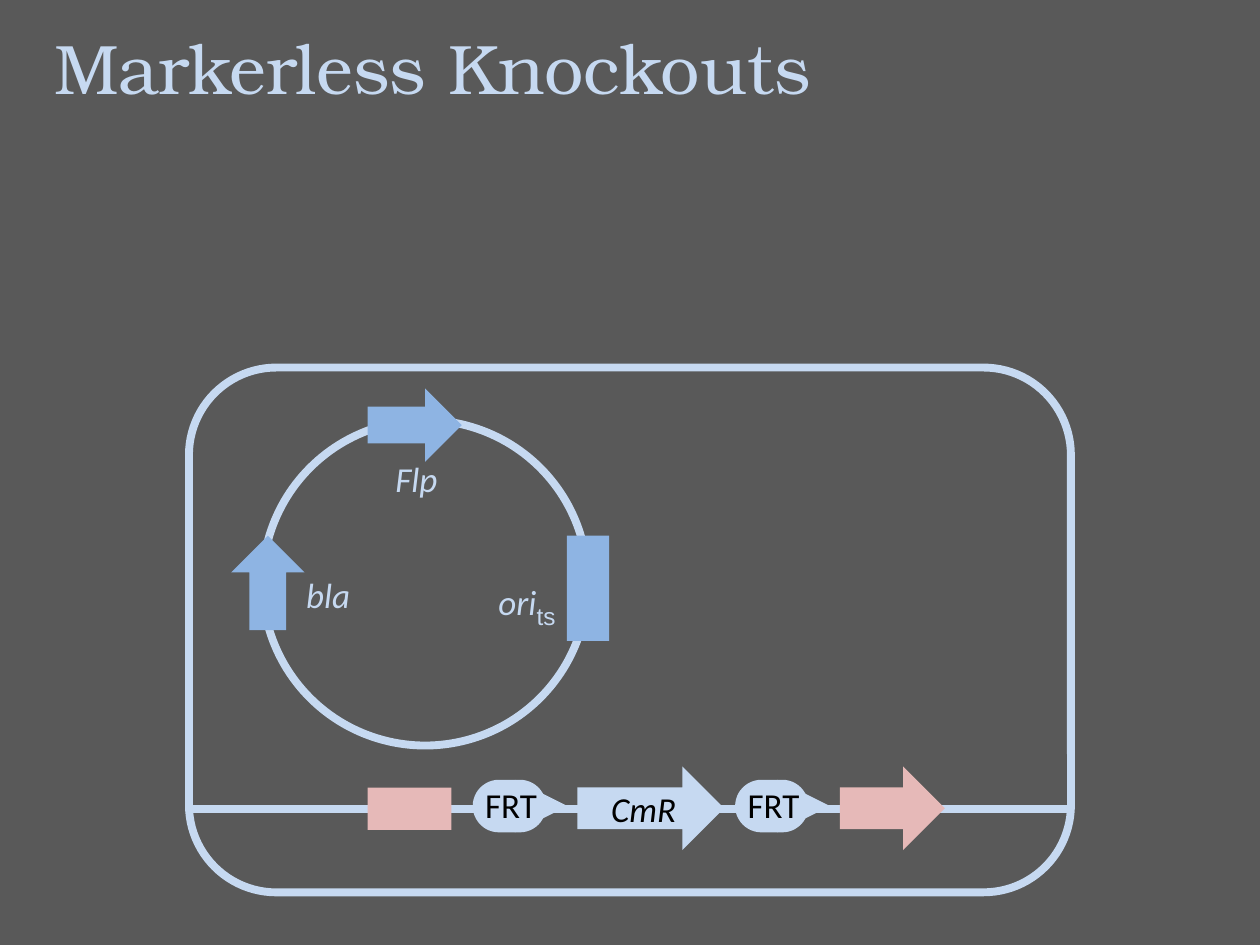
"""Build the Markerless Knockouts slide with a plasmid inside a cell."""
import lxml.etree
import pptx
import pptx.dml.color
import pptx.enum.shapes
import pptx.enum.text
import pptx.oxml.ns
import pptx.util

Cm = pptx.util.Cm
Pt = pptx.util.Pt
RGB = pptx.dml.color.RGBColor.from_string
SHAPE = pptx.enum.shapes.MSO_SHAPE
COLORS = {
    "background": "595959",
    "pale": "C6D9F1",
    "blue": "8EB4E3",
    "pink": "E6B9B8",
    "black": "000000",
}
LINE_WIDTH = Pt(4.5)


def add_part(container, kind, left, top, width, height, fill=None, rotation=0):
    shape = container.add_shape(kind, Cm(left), Cm(top), Cm(width), Cm(height))
    shape.shadow.inherit = False
    shape.rotation = rotation
    if fill:
        shape.fill.solid()
        shape.fill.fore_color.rgb = RGB(COLORS[fill])
        shape.line.fill.background()
    else:
        shape.fill.background()
        shape.line.color.rgb = RGB(COLORS["pale"])
        shape.line.width = LINE_WIDTH
    return shape


def add_label(container, text, left, top, width, height, color="pale",
              size=20, font="Calibri", italic=False, wrap=False):
    shape = container.add_textbox(Cm(left), Cm(top), Cm(width), Cm(height))
    frame = shape.text_frame
    frame.text = text
    frame.word_wrap = wrap
    frame.auto_size = pptx.enum.text.MSO_AUTO_SIZE.SHAPE_TO_FIT_TEXT
    run = frame.paragraphs[0].runs[0]
    run.font.name = font
    run.font.size = Pt(size)
    run.font.italic = italic
    run.font.color.rgb = RGB(COLORS[color])
    return shape


presentation = pptx.Presentation()
presentation.slide_width = Cm(25.4)
presentation.slide_height = Cm(19.05)
slide = presentation.slides.add_slide(presentation.slide_layouts[6])
slide.background.fill.solid()
slide.background.fill.fore_color.rgb = RGB(COLORS["background"])
shapes = slide.shapes

add_label(shapes, "Markerless Knockouts", 0.84, 0.36, 23.93, 1.96,
          size=40, font="TeX Gyre Bonum", wrap=True)

add_part(shapes, SHAPE.ROUNDED_RECTANGLE, 3.81, 7.41, 17.78, 10.58)
chromosome = shapes.add_connector(
    pptx.enum.shapes.MSO_CONNECTOR.STRAIGHT,
    Cm(3.81), Cm(16.3), Cm(21.59), Cm(16.3))
chromosome.line.color.rgb = RGB(COLORS["pale"])
chromosome.line.width = LINE_WIDTH
lxml.etree.SubElement(chromosome._element.spPr, pptx.oxml.ns.qn("a:effectLst"))
add_part(shapes, SHAPE.RIGHT_ARROW, 16.93, 15.45, 2.12, 1.69, "pink")

plasmid = shapes.add_group_shape().shapes
add_part(plasmid, SHAPE.OVAL, 5.29, 8.47, 6.56, 6.56)
add_part(plasmid, SHAPE.RIGHT_ARROW, 7.41, 7.83, 1.9, 1.48, "blue")
add_label(plasmid, "Flp", 7.72, 9.1, 1.37, 1.12, italic=True)
add_part(plasmid, SHAPE.RIGHT_ARROW, 4.45, 11.01, 1.9, 1.48, "blue", 270)
add_label(plasmid, "bla", 5.92, 11.43, 1.4, 1.12, italic=True)
add_part(plasmid, SHAPE.RECTANGLE, 11.43, 10.8, 0.85, 2.12, "blue")
origin = add_label(plasmid, "ori", 9.8, 11.43, 1.73, 1.12, italic=True)
subscript = origin.text_frame.paragraphs[0].add_run()
subscript.text = "ts"
subscript.font.name = "Arial"
subscript.font.size = Pt(24)
subscript.font.italic = False
subscript.font.color.rgb = RGB(COLORS["pale"])
subscript.font._element.set("baseline", "-25000")

add_part(shapes, SHAPE.RIGHT_ARROW, 11.64, 15.45, 2.96, 1.69, "pale")
add_label(shapes, "CmR", 12.07, 15.75, 1.83, 1.12, "black", italic=True)
add_part(shapes, SHAPE.RECTANGLE, 7.41, 15.88, 1.69, 0.85, "pink")

for left in (9.53, 14.82):
    site = add_part(shapes, SHAPE.ROUNDED_RECTANGLE, left, 15.72, 1.48, 1.06, "pale")
    site.adjustments[0] = 0.5
    add_part(shapes, SHAPE.ISOSCELES_TRIANGLE, left + 0.85, 15.72, 1.06, 1.06, "pale", 90)
    add_label(shapes, "FRT", left, 15.67, 1.57, 1.12, "black")

presentation.save("out.pptx")
